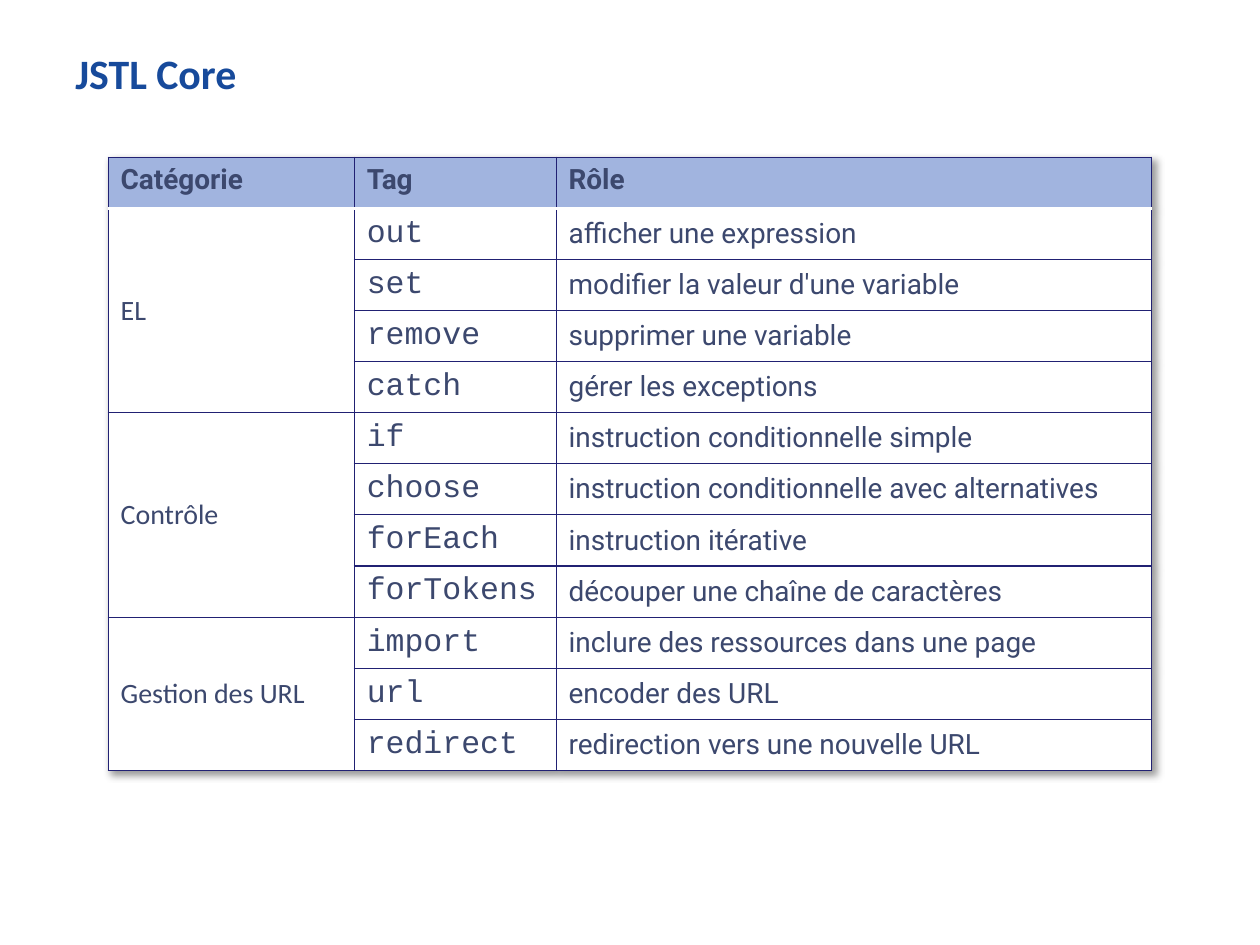
from dataclasses import dataclass

from lxml.etree import SubElement
from pptx import Presentation
from pptx.dml.color import RGBColor
from pptx.enum.text import MSO_ANCHOR, MSO_AUTO_SIZE, PP_ALIGN
from pptx.oxml import parse_xml
from pptx.oxml.ns import nsdecls, qn
from pptx.slide import Slide
from pptx.table import Table, _Cell
from pptx.text.text import _Paragraph
from pptx.util import Cm, Pt


@dataclass(frozen=True)
class Theme:
    """Colours, fonts and sizes of the slide."""

    title: str = "174A9B"
    ink: str = "3C486E"
    header: str = "A1B4DF"
    paper: str = "FFFFFF"
    rule: str = "212173"
    rule_width: float = 0.75
    header_rule_width: float = 2
    title_size: float = 23.9
    body_size: float = 16
    code_size: float = 18
    heading_font: str = "Calibri"
    body_font: str = "Roboto"
    code_font: str = "Courier New"


@dataclass(frozen=True)
class Tag:
    """A JSTL tag and its role."""

    name: str
    role: str


@dataclass(frozen=True)
class Category:
    """A family of JSTL tags."""

    label: str
    tags: tuple[Tag, ...]


THEME = Theme()
HEADINGS = ("Catégorie", "Tag", "Rôle")
COLUMN_WIDTHS = (Cm(4.96), Cm(4.07), Cm(12))
ROW_HEIGHT = Cm(1.03)
CATEGORIES = (
    Category("EL", (
        Tag("out", "afficher une expression"),
        Tag("set", "modifier la valeur d'une variable"),
        Tag("remove", "supprimer une variable"),
        Tag("catch", "gérer les exceptions"),
    )),
    Category("Contrôle", (
        Tag("if", "instruction conditionnelle simple"),
        Tag("choose", "instruction conditionnelle avec alternatives"),
        Tag("forEach", "instruction itérative"),
        Tag("forTokens", "découper une chaîne de caractères"),
    )),
    Category("Gestion des URL", (
        Tag("import", "inclure des ressources dans une page"),
        Tag("url", "encoder des URL"),
        Tag("redirect", "redirection vers une nouvelle URL"),
    )),
)


def apply_format(target: object, values: dict[str, object]) -> None:
    """Set each named attribute on the target."""
    for attribute, value in values.items():
        setattr(target, attribute, value)


def write(paragraph: _Paragraph, text: str, font: str, size: float,
          color: str = THEME.ink, bold: bool = False) -> None:
    """Write one formatted run in a paragraph."""
    run = paragraph.add_run()
    run.text = text
    apply_format(run.font, {"name": font, "size": Pt(size), "bold": bold})
    run.font.color.rgb = RGBColor.from_string(color)


def style_cell(cell: _Cell, row: int) -> None:
    """Give a cell its fill, borders and anchor."""
    properties = cell._tc.get_or_add_tcPr()
    for side in "LRTB":
        under_header = (row, side) in ((0, "B"), (1, "T"))
        width = THEME.header_rule_width if under_header else THEME.rule_width
        border = SubElement(properties, qn(f"a:ln{side}"), w=str(Pt(width)))
        fill = SubElement(border, qn("a:solidFill"))
        SubElement(fill, qn("a:srgbClr"), val=THEME.paper if under_header else THEME.rule)
    cell.fill.solid()
    cell.fill.fore_color.rgb = RGBColor.from_string(THEME.paper if row else THEME.header)
    cell.vertical_anchor = MSO_ANCHOR.MIDDLE if row else MSO_ANCHOR.TOP


def add_table_shadow(table: Table) -> None:
    """Cast a soft shadow to the lower right of the table."""
    table._tbl.tblPr.insert(0, parse_xml(
        f'<a:effectLst {nsdecls("a")}>'
        '<a:outerShdw blurRad="50800" dist="38100" dir="2700000" algn="tl" rotWithShape="0">'
        '<a:srgbClr val="000000"><a:alpha val="40000"/></a:srgbClr>'
        "</a:outerShdw></a:effectLst>"))


def add_title(slide: Slide, text: str) -> None:
    """Place and fill the title placeholder."""
    title = slide.shapes.title
    apply_format(title, {"left": Cm(1.24), "top": Cm(0.81), "width": Cm(22.89), "height": Cm(1.63)})
    apply_format(title.text_frame, {
        "margin_left": Cm(0.28), "margin_right": Cm(0.28),
        "margin_top": Cm(0.15), "margin_bottom": Cm(0.15),
        "vertical_anchor": MSO_ANCHOR.TOP, "auto_size": MSO_AUTO_SIZE.NONE, "word_wrap": True,
    })
    paragraph = title.text_frame.paragraphs[0]
    paragraph.alignment = PP_ALIGN.LEFT
    write(paragraph, text, THEME.heading_font, THEME.title_size, THEME.title, bold=True)


def add_tag_table(slide: Slide, categories: tuple[Category, ...]) -> None:
    """Draw the tags grouped by category."""
    row_count = 1 + sum(len(category.tags) for category in categories)
    table = slide.shapes.add_table(
        row_count, len(HEADINGS), Cm(2.18), Cm(3.17),
        sum(COLUMN_WIDTHS), ROW_HEIGHT * row_count).table
    table.horz_banding = False
    add_table_shadow(table)
    for column, width in zip(table.columns, COLUMN_WIDTHS):
        column.width = width
    for row in range(row_count):
        for column in range(len(HEADINGS)):
            style_cell(table.cell(row, column), row)

    def fill_cell(row: int, column: int, text: str, font: str, size: float, bold: bool = False) -> None:
        """Write text in one table cell."""
        write(table.cell(row, column).text_frame.paragraphs[0], text, font, size, bold=bold)

    for column, heading in enumerate(HEADINGS):
        fill_cell(0, column, heading, THEME.body_font, THEME.body_size, bold=True)
    first = 1
    for category in categories:
        last = first + len(category.tags) - 1
        table.cell(first, 0).merge(table.cell(last, 0))
        fill_cell(first, 0, category.label, THEME.heading_font, THEME.body_size)
        for row, tag in enumerate(category.tags, first):
            fill_cell(row, 1, tag.name, THEME.code_font, THEME.code_size)
            fill_cell(row, 2, tag.role, THEME.body_font, THEME.body_size)
        first = last + 1


def main() -> None:
    """Build and save the presentation."""
    presentation = Presentation()
    apply_format(presentation, {"slide_width": Cm(25.4), "slide_height": Cm(19.05)})
    slide = presentation.slides.add_slide(presentation.slide_layouts.get_by_name("Title Only"))
    add_title(slide, "JSTL Core")
    add_tag_table(slide, CATEGORIES)
    presentation.save("out.pptx")


if __name__ == "__main__":
    main()
